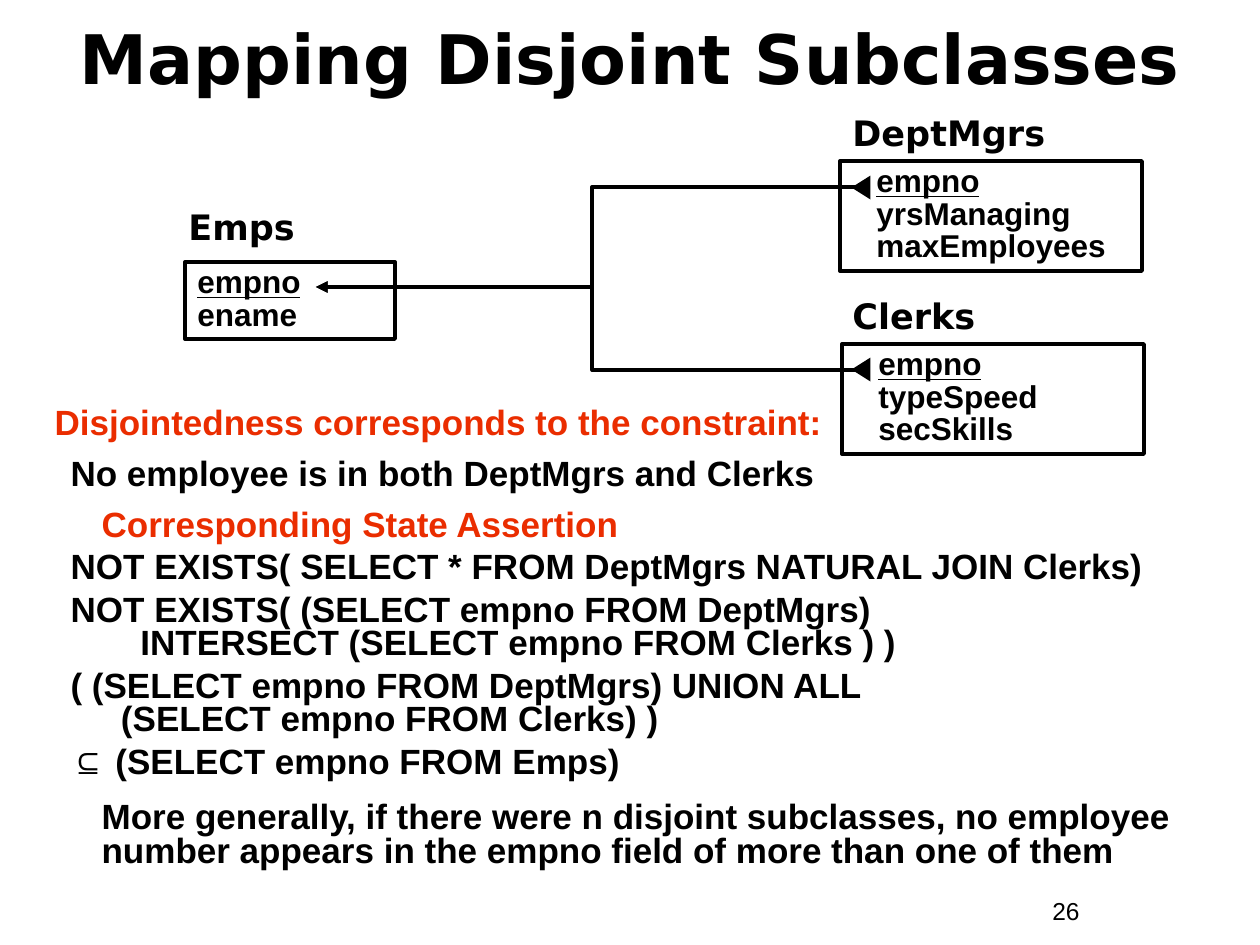
from copy import deepcopy
from dataclasses import dataclass

from lxml import etree
from pptx import Presentation
from pptx import util as u
from pptx.dml.color import RGBColor
from pptx.enum import shapes, text
from pptx.oxml.ns import qn

PX_PER_INCH = 126


def px(length: int) -> u.Emu:
    return u.Emu(round(length * 914400 / PX_PER_INCH))


@dataclass(frozen=True)
class Theme:
    ink: RGBColor = RGBColor(0x00, 0x00, 0x00)
    accent: RGBColor = RGBColor(0xEA, 0x2D, 0x00)
    body_font: str = "Arial"
    heading_font: str = "DejaVu Sans"
    title_size: int = 39
    body_size: int = 20
    field_size: int = 18
    number_size: int = 14
    line_width: float = 2.25


THEME = Theme()


@dataclass(frozen=True)
class Box:
    left: int
    top: int
    width: int
    height: int

    def emu(self) -> tuple:
        return px(self.left), px(self.top), px(self.width), px(self.height)


@dataclass(frozen=True)
class Table:
    name: str
    label: Box
    frame: Box
    key: str
    fields: str
    margin: int = 0
    label_spacing: float = 1.0


@dataclass(frozen=True)
class Line:
    words: str
    level: int = 0
    margin: int = 0
    indent: int = 0
    before: float = 10
    color: RGBColor = THEME.ink


@dataclass(frozen=True)
class Link:
    start: tuple
    end: tuple
    marker: Box


LABEL_WIDTH = 271
TABLES = (
    Table("Emps", Box(176, 199, LABEL_WIDTH, 55), Box(185, 262, 210, 77),
          "empno", "ename"),
    Table("DeptMgrs", Box(840, 105, LABEL_WIDTH, 55), Box(840, 161, 302, 110),
          "empno", "yrsManaging\nmaxEmployees", margin=24),
    Table("Clerks", Box(840, 296, LABEL_WIDTH, 47), Box(842, 344, 302, 110),
          "empno", "typeSpeed\nsecSkills", margin=24, label_spacing=0.8),
)

EMPS_KEY = (316, 287)
LINKS = (
    Link(EMPS_KEY, (868, 187), Box(849, 178, 24, 19)),
    Link(EMPS_KEY, (869, 370), Box(849, 360, 24, 19)),
)

HANG = {"level": 1, "margin": 47, "indent": -31}
BODY = (
    Line("Disjointedness corresponds to the constraint:", before=0, color=THEME.accent),
    Line("No employee is in both DeptMgrs and Clerks", **HANG),
    Line("Corresponding State Assertion", margin=47, color=THEME.accent),
    Line("NOT EXISTS( SELECT * FROM DeptMgrs NATURAL JOIN Clerks)", before=5, **HANG),
    Line("NOT EXISTS( (SELECT empno FROM DeptMgrs)\n"
         "    INTERSECT (SELECT empno FROM Clerks ) )", before=5, **HANG),
    Line("( (SELECT empno FROM DeptMgrs) UNION ALL\n"
         "  (SELECT empno FROM Clerks) )", before=5, **HANG),
    Line("⊆ (SELECT empno FROM Emps)", before=5, **HANG),
    Line("More generally, if there were n disjoint subclasses, no employee number "
         "appears in the empno field of more than one of them", margin=47, before=12.5),
)


def place(shape, box: Box) -> None:
    shape.left, shape.top, shape.width, shape.height = box.emu()


def prepare_frame(shape, anchor=text.MSO_ANCHOR.TOP):
    frame = shape.text_frame
    frame.word_wrap = True
    frame.auto_size = text.MSO_AUTO_SIZE.NONE
    frame.vertical_anchor = anchor
    return frame


def format_runs(paragraph, font: str, size: float, color=THEME.ink,
                bold: bool = True, underline: bool = False) -> None:
    for run in paragraph.runs:
        run.font.name = font
        run.font.size = u.Pt(size)
        run.font.bold = bold
        run.font.underline = underline
        run.font.color.rgb = color
    # Line breaks take the same type size as the words around them
    for line_break in paragraph._p.findall(qn("a:br")):
        line_break.insert(0, deepcopy(paragraph.runs[0]._r.rPr))


def set_indent(paragraph, margin: int, indent: int = 0) -> None:
    properties = paragraph._p.get_or_add_pPr()
    properties.set("marL", str(px(margin)))
    properties.set("indent", str(px(indent)))
    etree.SubElement(properties, qn("a:buNone"))


def add_text(slide, box: Box, words: str, font: str, size: float,
             bold: bool = True, spacing: float = 1.0) -> None:
    frame = prepare_frame(slide.shapes.add_textbox(*box.emu()))
    frame.text = words
    paragraph = frame.paragraphs[0]
    paragraph.line_spacing = spacing
    format_runs(paragraph, font, size, bold=bold)


def add_table_box(slide, table: Table) -> None:
    add_text(slide, table.label, table.name, THEME.heading_font, THEME.body_size,
             spacing=table.label_spacing)
    shape = slide.shapes.add_shape(shapes.MSO_SHAPE.RECTANGLE, *table.frame.emu())
    shape.shadow.inherit = False
    shape.fill.background()
    shape.line.color.rgb = THEME.ink
    shape.line.width = u.Pt(THEME.line_width)
    frame = prepare_frame(shape)
    for words, underline in ((table.key, True), (table.fields, False)):
        paragraph = frame.paragraphs[0] if underline else frame.add_paragraph()
        paragraph.text = words
        set_indent(paragraph, table.margin)
        paragraph.alignment = text.PP_ALIGN.LEFT
        paragraph.line_spacing = 0.85
        format_runs(paragraph, THEME.body_font, THEME.field_size, underline=underline)


def add_link(slide, link: Link) -> None:
    ends = [px(value) for value in link.start + link.end]
    connector = slide.shapes.add_connector(shapes.MSO_CONNECTOR.ELBOW, *ends)
    connector.line.color.rgb = THEME.ink
    connector.line.width = u.Pt(THEME.line_width)
    outline = connector.line._get_or_add_ln()
    etree.SubElement(outline, qn("a:headEnd"), type="triangle")
    etree.SubElement(connector._element.spPr, qn("a:effectLst"))

    marker = slide.shapes.add_shape(shapes.MSO_SHAPE.ISOSCELES_TRIANGLE, *link.marker.emu())
    marker.shadow.inherit = False
    marker.rotation = 270
    marker.fill.solid()
    marker.fill.fore_color.rgb = THEME.ink
    marker.line.fill.background()


def fill_body(shape) -> None:
    place(shape, Box(42, 402, 1166, 475))
    frame = prepare_frame(shape)
    for index, line in enumerate(BODY):
        paragraph = frame.add_paragraph() if index else frame.paragraphs[0]
        paragraph.text = line.words
        paragraph.level = line.level
        set_indent(paragraph, line.margin, line.indent)
        paragraph.line_spacing = 0.8
        paragraph.space_before = u.Pt(line.before)
        format_runs(paragraph, THEME.body_font, THEME.body_size, line.color)


def main() -> None:
    presentation = Presentation()
    presentation.slide_width, presentation.slide_height = u.Inches(10), u.Inches(7.5)
    slide = presentation.slides.add_slide(presentation.slide_layouts[1])

    # Title and constraint list
    title = slide.shapes.title
    place(title, Box(42, 10, 1176, 94))
    frame = prepare_frame(title, text.MSO_ANCHOR.MIDDLE)
    frame.text = "Mapping Disjoint Subclasses"
    frame.paragraphs[0].alignment = text.PP_ALIGN.CENTER
    format_runs(frame.paragraphs[0], THEME.heading_font, THEME.title_size)
    fill_body(slide.placeholders[1])

    # Tables and the links between their keys
    for table in TABLES:
        add_table_box(slide, table)
    for link in LINKS:
        add_link(slide, link)

    # Slide number
    add_text(slide, Box(1040, 890, 116, 43), "26", THEME.body_font,
             THEME.number_size, bold=False)
    presentation.save("out.pptx")


if __name__ == "__main__":
    main()
